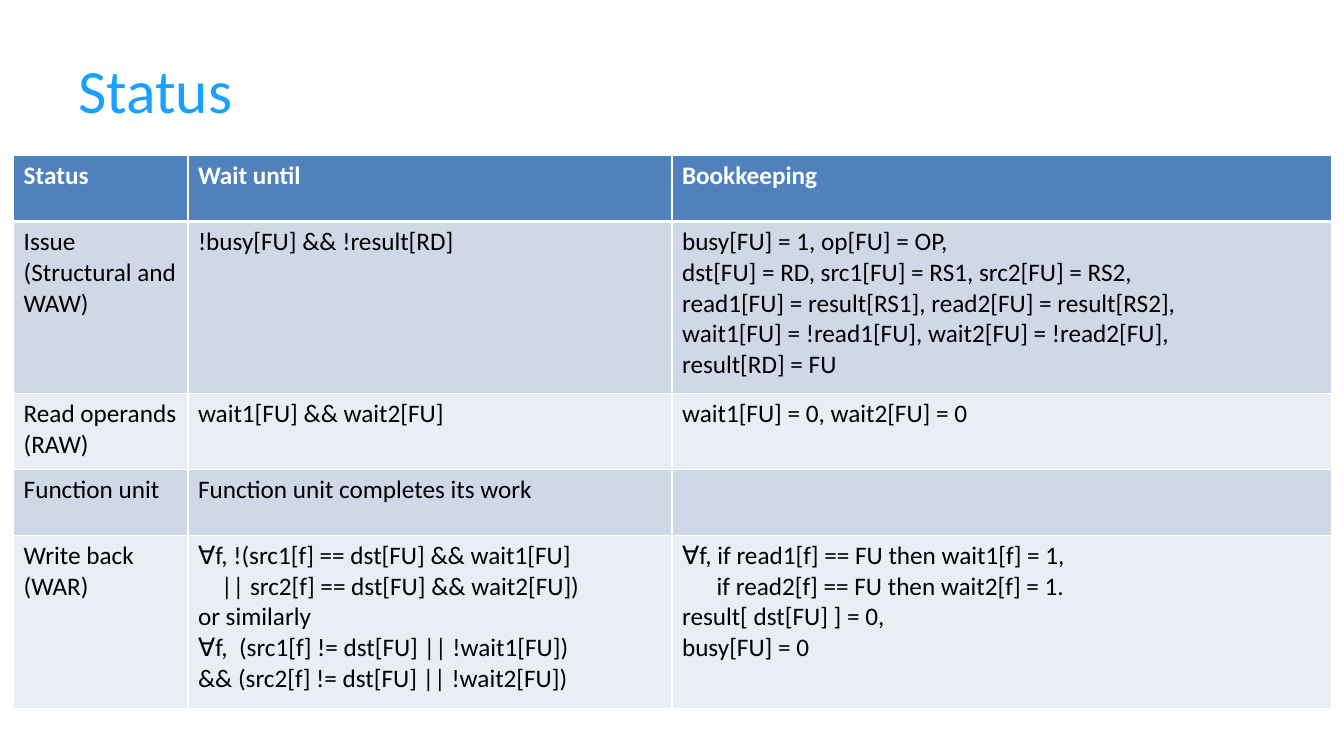
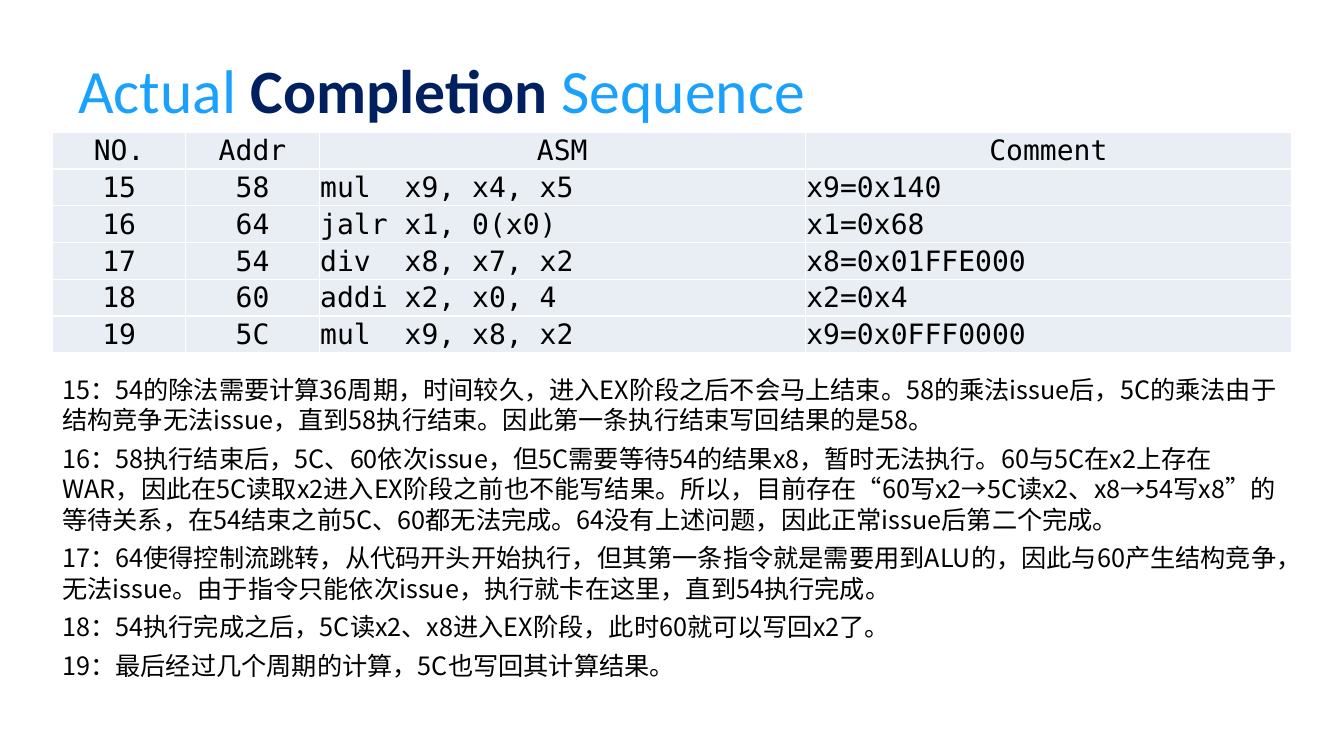
from lxml import etree
from pptx import Presentation
from pptx.dml.color import RGBColor
from pptx.enum.text import MSO_ANCHOR, PP_ALIGN
from pptx.oxml.ns import qn
from pptx.util import Pt

PX = 9525  # EMU per px, 96 px to the inch
TOP, MIDDLE = MSO_ANCHOR.TOP, MSO_ANCHOR.MIDDLE
LEFT, CENTER = PP_ALIGN.LEFT, PP_ALIGN.CENTER

THEME = {
    "title": {"name": "Calibri", "size": 44, "color": "19A1FD", "bold": False},
    "title_strong": {"name": "Calibri", "size": 44, "color": "002060", "bold": True},
    "header": {"name": "Calibri", "size": 18, "color": "FFFFFF", "bold": True},
    "cell": {"name": "Calibri", "size": 18, "color": "000000", "bold": False},
    "code": {"name": "DejaVu Sans Mono", "size": 20, "color": "000000", "bold": False},
    "note": {"name": "Noto Sans CJK SC", "size": 18, "color": "000000", "bold": False},
    "header_fill": "4F81BD",
    "band_fills": ["E9EDF4", "D0D8E8"],
    "border": "FFFFFF",
}

STATUS_COLUMNS = [166, 461, 628]
STATUS_ROWS = [63, 164, 72, 63, 165]
# A cell is a list of lines; a pair is (indent in px, line)
STATUS_CELLS = [
    [["Status"], ["Wait until"], ["Bookkeeping"]],
    [["Issue", "(Structural and WAW)"],
     ["!busy[FU] && !result[RD]"],
     ["busy[FU] = 1, op[FU] = OP,",
      "dst[FU] = RD, src1[FU] = RS1, src2[FU] = RS2,",
      "read1[FU] = result[RS1], read2[FU] = result[RS2],",
      "wait1[FU] = !read1[FU], wait2[FU] = !read2[FU],",
      "result[RD] = FU"]],
    [["Read operands", "(RAW)"],
     ["wait1[FU] && wait2[FU]"],
     ["wait1[FU] = 0, wait2[FU] = 0"]],
    [["Function unit"], ["Function unit completes its work"], []],
    [["Write back", "(WAR)"],
     ["∀f, !(src1[f] == dst[FU] && wait1[FU]",
      (22, "|| src2[f] == dst[FU] && wait2[FU])"),
      "or similarly",
      "∀f,  (src1[f] != dst[FU] || !wait1[FU])",
      "&& (src2[f] != dst[FU] || !wait2[FU])"],
     ["∀f, if read1[f] == FU then wait1[f] = 1,",
      (33, "if read2[f] == FU then wait2[f] = 1."),
      "result[ dst[FU] ] = 0,",
      "busy[FU] = 0"]],
]

SEQUENCE_COLUMNS = [127, 127, 463, 463]
SEQUENCE_ROW = 35
SEQUENCE_CELLS = [
    ["NO.", "Addr", "ASM", "Comment"],
    ["15", "58", "mul  x9, x4, x5", "x9=0x140"],
    ["16", "64", "jalr x1, 0(x0)", "x1=0x68"],
    ["17", "54", "div  x8, x7, x2", "x8=0x01FFE000"],
    ["18", "60", "addi x2, x0, 4", "x2=0x4"],
    ["19", "5C", "mul  x9, x8, x2", "x9=0x0FFF0000"],
]

NOTES = [
    "15：54的除法需要计算36周期，时间较久，进入EX阶段之后不会马上结束。58的乘法issue后，"
    "5C的乘法由于结构竞争无法issue，直到58执行结束。因此第一条执行结束写回结果的是58。",
    "16：58执行结束后，5C、60依次issue，但5C需要等待54的结果x8，暂时无法执行。"
    "60与5C在x2上存在WAR，因此在5C读取x2进入EX阶段之前也不能写结果。"
    "所以，目前存在“60写x2→5C读x2、x8→54写x8”的等待关系，在54结束之前5C、60都无法完成。"
    "64没有上述问题，因此正常issue后第二个完成。",
    "17：64使得控制流跳转，从代码开头开始执行，但其第一条指令就是需要用到ALU的，"
    "因此与60产生结构竞争，无法issue。由于指令只能依次issue，执行就卡在这里，直到54执行完成。",
    "18：54执行完成之后，5C读x2、x8进入EX阶段，此时60就可以写回x2了。",
    "19：最后经过几个周期的计算，5C也写回其计算结果。",
]

TITLES = [
    [("Status", "title")],
    [("Actual ", "title"), ("Completion", "title_strong"), (" Sequence", "title")],
]


def write_run(paragraph, text, style):
    run = paragraph.add_run()
    run.text = text
    formats = THEME[style]
    values = {"name": formats["name"], "size": Pt(formats["size"]), "bold": formats["bold"]}
    for attribute, value in values.items():
        setattr(run.font, attribute, value)
    run.font.color.rgb = RGBColor.from_string(formats["color"])
    east_asian = etree.SubElement(run.font._element, qn("a:ea"))
    east_asian.set("typeface", formats["name"])


def add_plain_table(slide, left, top, columns, rows):
    """Add a table without style bands, with white 1 pt cell borders."""
    frame = slide.shapes.add_table(len(rows), len(columns), left * PX, top * PX,
                                   sum(columns) * PX, sum(rows) * PX)
    table = frame.table
    table.first_row = table.horz_banding = False
    for column, width in zip(table.columns, columns):
        column.width = width * PX
    for row, height in zip(table.rows, rows):
        row.height = height * PX
    for cell in table.iter_cells():
        properties = cell._tc.get_or_add_tcPr()
        for side in ("lnL", "lnR", "lnT", "lnB"):
            line = etree.SubElement(properties, qn("a:" + side), w=str(Pt(1)))
            fill = etree.SubElement(line, qn("a:solidFill"))
            etree.SubElement(fill, qn("a:srgbClr"), val=THEME["border"])
        cell.fill.solid()
    return table


presentation = Presentation()
presentation.slide_width = 1280 * PX
presentation.slide_height = 720 * PX

# Slides with their titles
slides = []
for title_runs in TITLES:
    slide = presentation.slides.add_slide(presentation.slide_layouts[6])
    title = slide.shapes.add_textbox(65 * PX, 35 * PX, 981 * PX, 100 * PX)
    title.text_frame.word_wrap = True
    title.text_frame.vertical_anchor = MIDDLE
    for text, style in title_runs:
        write_run(title.text_frame.paragraphs[0], text, style)
    slides.append(slide)
status_slide, sequence_slide = slides

# Status table
table = add_plain_table(status_slide, 13, 148, STATUS_COLUMNS, STATUS_ROWS)
for row_index, row in enumerate(STATUS_CELLS):
    is_header = row_index == 0
    fill_color = THEME["header_fill"] if is_header else THEME["band_fills"][row_index % 2]
    for column_index, lines in enumerate(row):
        cell = table.cell(row_index, column_index)
        cell.vertical_anchor = TOP
        cell.fill.fore_color.rgb = RGBColor.from_string(fill_color)
        # Thick rule between header and body
        if row_index < 2:
            edge = cell._tc.tcPr.find(qn("a:lnB" if is_header else "a:lnT"))
            edge.set("w", str(Pt(3)))
        for line_index, line in enumerate(lines):
            indent, text = line if isinstance(line, tuple) else (0, line)
            frame = cell.text_frame
            paragraph = frame.add_paragraph() if line_index else frame.paragraphs[0]
            if indent:
                paragraph._p.get_or_add_pPr().set("marL", str(indent * PX))
            write_run(paragraph, text, "header" if is_header else "cell")

# Completion sequence table
table = add_plain_table(sequence_slide, 50, 126, SEQUENCE_COLUMNS,
                        [SEQUENCE_ROW] * len(SEQUENCE_CELLS))
cell_formats = {"vertical_anchor": MIDDLE, "margin_left": PX, "margin_right": PX,
                "margin_top": PX, "margin_bottom": 0}
for row_index, row in enumerate(SEQUENCE_CELLS):
    for column_index, text in enumerate(row):
        cell = table.cell(row_index, column_index)
        for attribute, value in cell_formats.items():
            setattr(cell, attribute, value)
        cell.fill.fore_color.rgb = RGBColor.from_string(THEME["band_fills"][0])
        paragraph = cell.text_frame.paragraphs[0]
        paragraph.alignment = CENTER if row_index == 0 or column_index < 2 else LEFT
        write_run(paragraph, text, "code")

# Notes on the sequence
notes = sequence_slide.shapes.add_textbox(50 * PX, 352 * PX, 1179 * PX, 303 * PX)
notes.text_frame.word_wrap = True
for note_index, note in enumerate(NOTES):
    frame = notes.text_frame
    paragraph = frame.add_paragraph() if note_index else frame.paragraphs[0]
    paragraph.space_after = Pt(6)
    write_run(paragraph, note, "note")

presentation.save("out.pptx")
